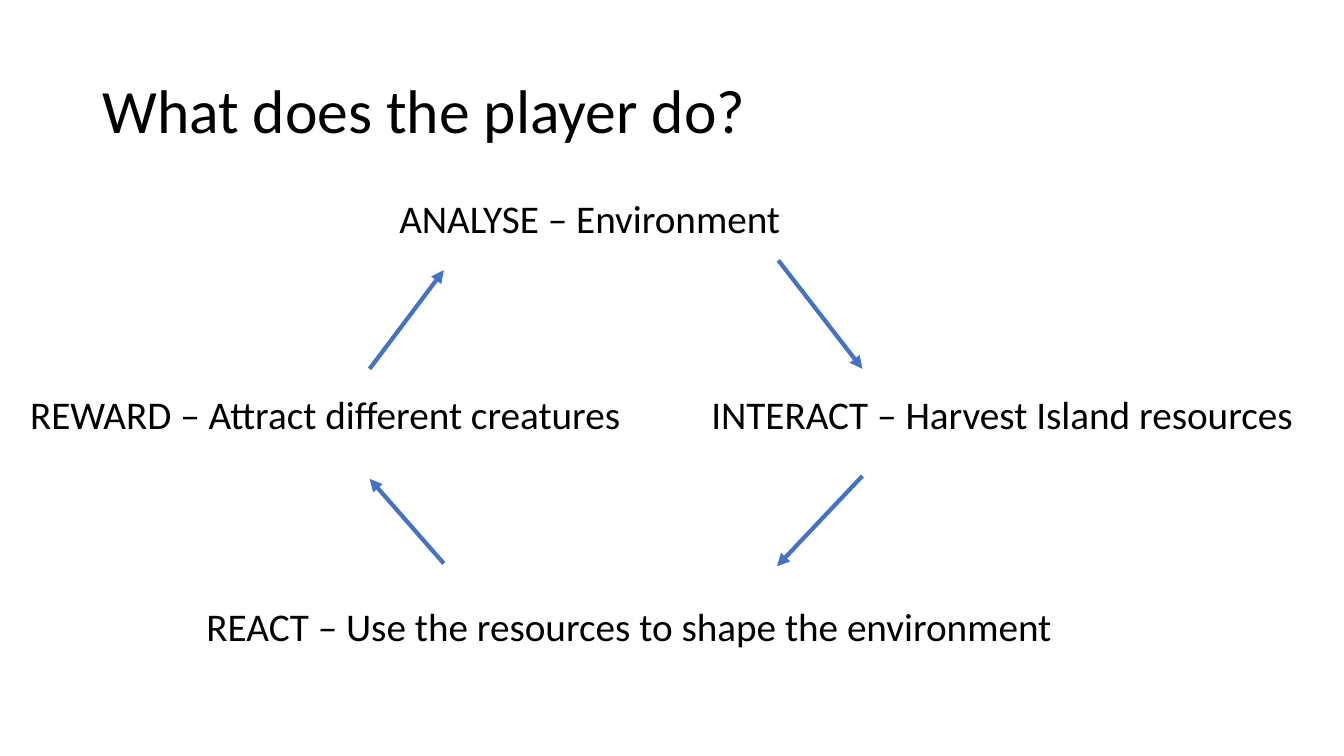
from lxml import etree
from pptx import Presentation
from pptx import util as u
from pptx.dml.color import RGBColor
from pptx.enum import shapes, text
from pptx.oxml.ns import qn

COLORS = {"text": "000000", "arrow": "4472C4"}
LEFT, RIGHT = 264, 616


class Deck:
    """Holds the style and the current slide, and adds each kind of element."""

    font = "Calibri"

    def __init__(self, prs, layout):
        self.slide = prs.slides.add_slide(prs.slide_layouts[layout])

    def fill_text(self, sp, words, size, anchor, **para):
        tf = sp.text_frame
        frame = {"word_wrap": True, "auto_size": text.MSO_AUTO_SIZE.NONE, "vertical_anchor": anchor}
        p = tf.paragraphs[0]
        r = p.add_run()
        r.text = words
        para = {"alignment": text.PP_ALIGN.LEFT, **para}
        font = {"name": self.font, "size": u.Pt(size), "bold": False}
        for obj, values in ((tf, frame), (p, para), (r.font, font)):
            for name, value in values.items():
                setattr(obj, name, value)
        r.font.color.rgb = RGBColor.from_string(COLORS["text"])
        return p

    def place(self, sp, box):
        for name, value in zip(("left", "top", "width", "height"), box):
            setattr(sp, name, u.Pt(value))

    def title(self, words, box):
        sp = self.slide.shapes.title
        self.place(sp, box)
        self.fill_text(sp, words, 44, text.MSO_ANCHOR.MIDDLE, line_spacing=0.9)

    def body(self, words, box):
        sp = self.slide.placeholders[1]
        self.place(sp, box)
        p = self.fill_text(sp, words, 28, text.MSO_ANCHOR.TOP, line_spacing=0.9, space_before=u.Pt(10))
        pPr = p._p.get_or_add_pPr()
        pPr.set("marL", "0")
        pPr.set("indent", "0")
        etree.SubElement(pPr, qn("a:buNone"))

    def label(self, words, box):
        sp = self.slide.shapes.add_textbox(*map(u.Pt, box))
        self.fill_text(sp, words, 28, text.MSO_ANCHOR.TOP)

    def arrow(self, *ends):
        sp = self.slide.shapes.add_connector(shapes.MSO_CONNECTOR.STRAIGHT, *map(u.Pt, ends))
        sp.line.width = u.Pt(3)
        sp.line.color.rgb = RGBColor.from_string(COLORS["arrow"])
        spPr = sp._element.spPr
        etree.SubElement(spPr.find(qn("a:ln")), qn("a:tailEnd"), type="triangle")
        etree.SubElement(spPr, qn("a:effectLst"))


prs = Presentation()
prs.slide_width, prs.slide_height = u.Pt(960), u.Pt(540)
deck = Deck(prs, 1)

deck.title("What does the player do?", (66, 28.75, 828, 104.4))
deck.body("ANALYSE – Environment", (278, 139, 356, 47))

for words, left, top, width in (
    ("INTERACT – Harvest Island resources", 501, 275, 448),
    ("REACT – Use the resources to shape the environment", 140.4, 427, 631),
    ("REWARD – Attract different creatures", 14.4, 275, 442),
):
    deck.label(words, (left, top, width, 41))

for ends in (
    (556, 186, RIGHT, 263.5),
    (RIGHT, 340, 555, 404.5),
    (317, 402.5, LEFT, 342),
    (LEFT, 263.5, 317, 193),
):
    deck.arrow(*ends)

prs.save("out.pptx")
